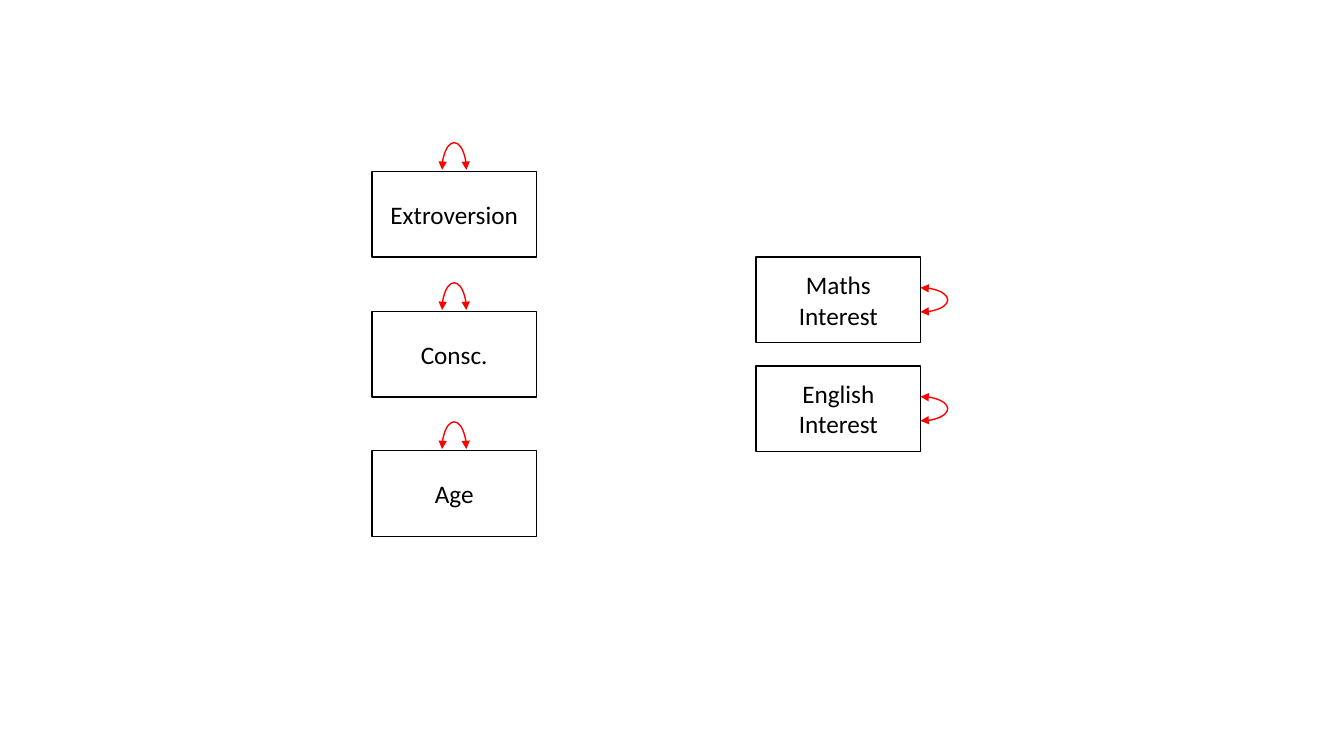
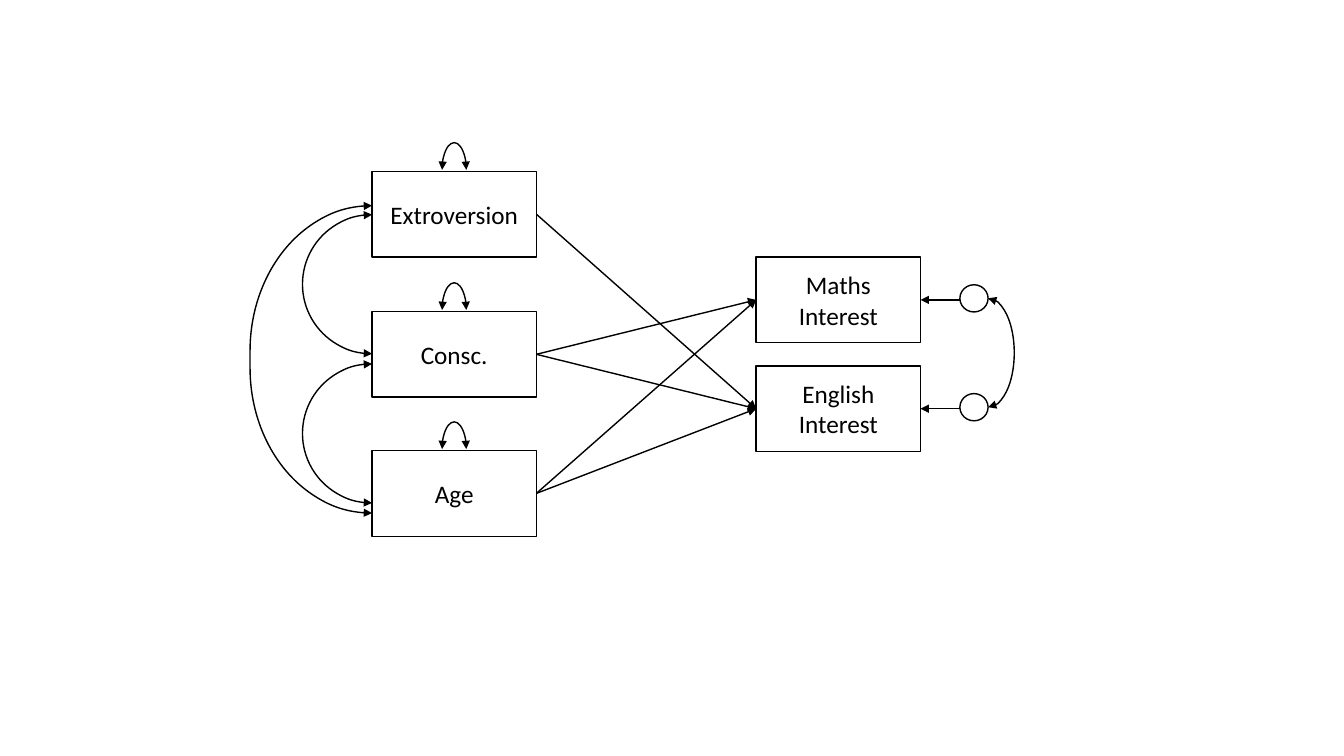
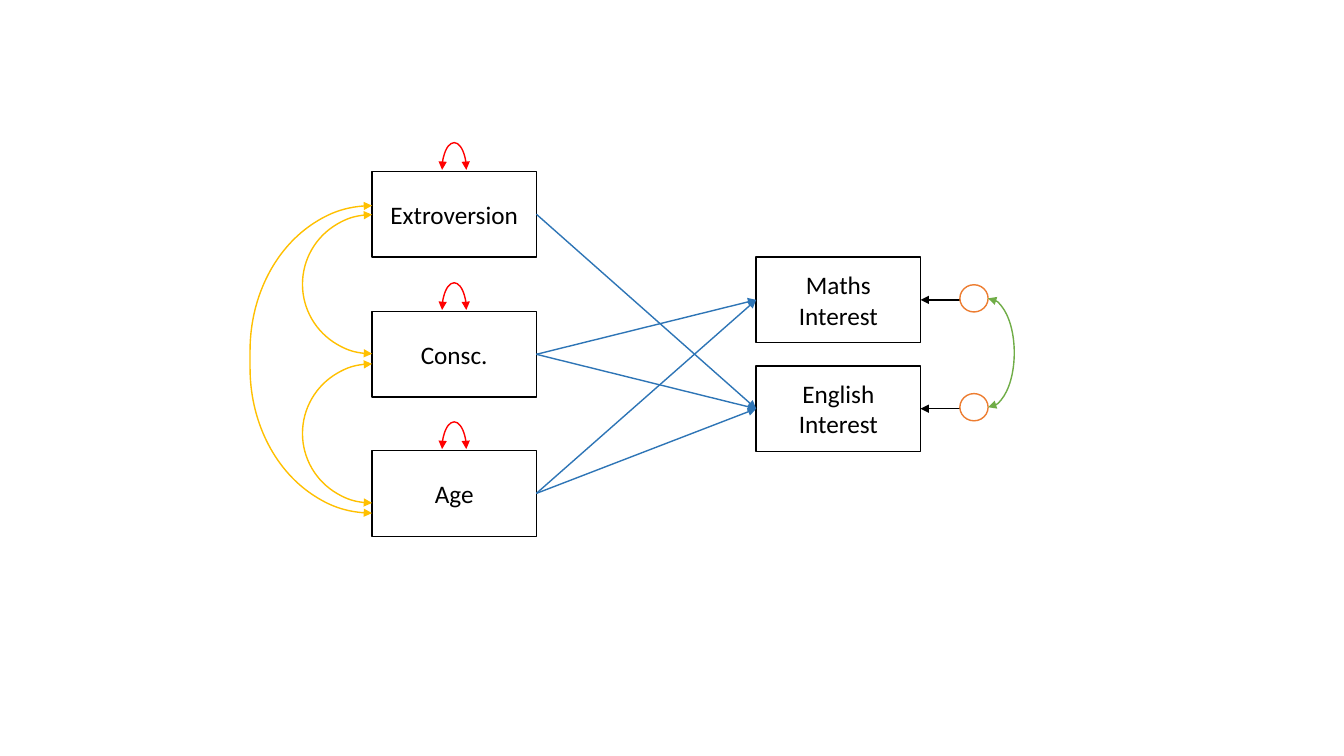
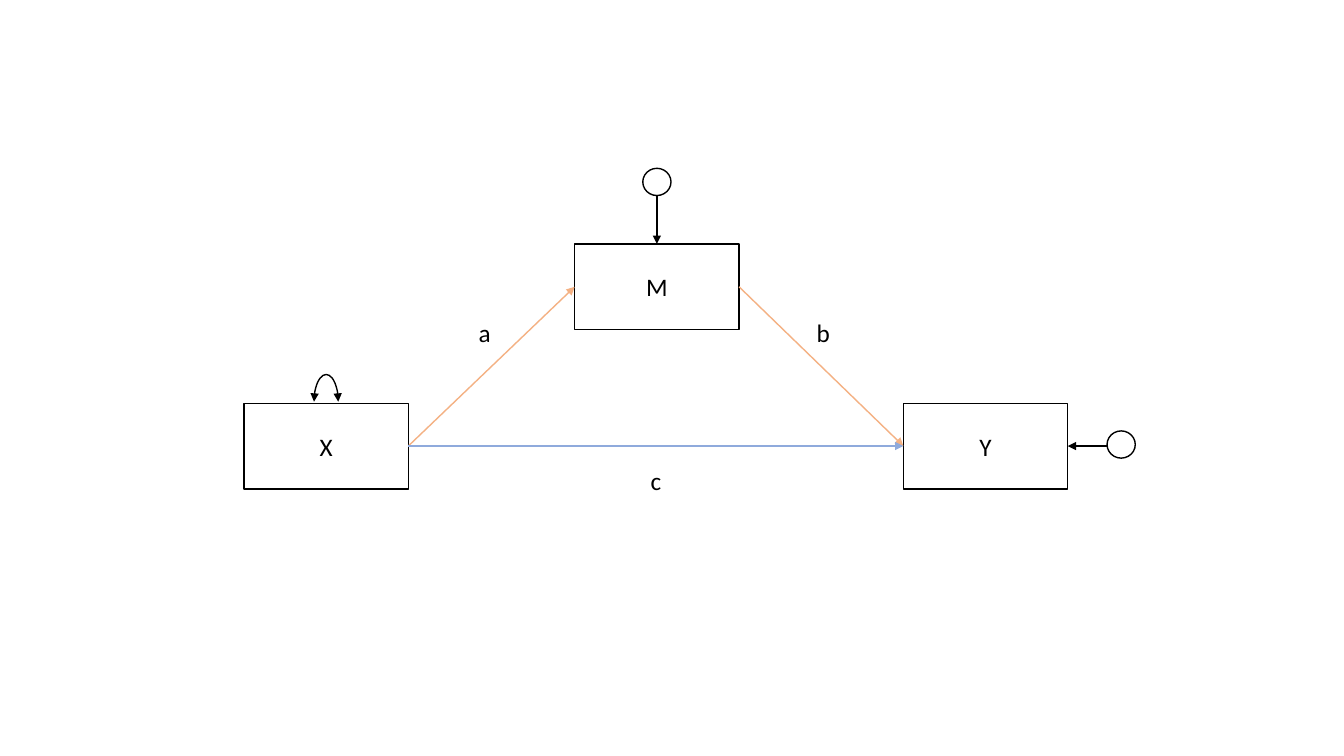
import lxml.etree
import pptx
import pptx.dml.color
import pptx.enum.shapes
import pptx.enum.text
import pptx.oxml.ns
import pptx.util

Inches = pptx.util.Inches
RGBColor = pptx.dml.color.RGBColor
SHAPES = pptx.enum.shapes.MSO_SHAPE
ALIGN = pptx.enum.text.PP_ALIGN
qn = pptx.oxml.ns.qn

BLACK = RGBColor(0x00, 0x00, 0x00)
RED = RGBColor(0xFF, 0x00, 0x00)
BLUE = RGBColor(0x2E, 0x75, 0xB6)
GOLD = RGBColor(0xFF, 0xC0, 0x00)
ORANGE = RGBColor(0xED, 0x7D, 0x31)
GREEN = RGBColor(0x70, 0xAD, 0x47)
PALE_ORANGE = RGBColor(0xF4, 0xB1, 0x83)
PALE_BLUE = RGBColor(0x8F, 0xAA, 0xDC)

FONT = "Calibri"
FONT_SIZE = pptx.util.Pt(18)
LINE_WIDTH = pptx.util.Pt(1)
BOX_WIDTH, BOX_HEIGHT = Inches(1.63), Inches(0.85)
CIRCLE_WIDTH, CIRCLE_HEIGHT = Inches(0.28), Inches(0.27)
LOOP_WIDTH, LOOP_HEIGHT = Inches(0.27), Inches(0.24)
LOOP_BEND = 2.08
TOP, LEFT, RIGHT = 0, 1, 3

PREDICTORS = [("Extroversion", 1.7), ("Consc.", 3.09), ("Age", 4.47)]
OUTCOMES = [("Maths Interest", 2.55), ("English Interest", 3.63)]
PREDICTOR_LEFT, OUTCOME_LEFT = 3.69, 7.5
PATHS = [(1, 0), (2, 0), (0, 1), (1, 1), (2, 1)]
COVARIANCES = [(0.43, 0.69, 1.38, 1.0), (1.91, 0.69, 1.38, 1.0), (0.34, 1.21, 3.05, 1.19)]


def style_line(shape, color, ends=()):
    shape.line.color.rgb = color
    shape.line.width = LINE_WIDTH
    outline = shape._element.spPr.find(qn("a:ln"))
    for end in ends:
        lxml.etree.SubElement(outline, qn(f"a:{end}"), type="triangle")


def add_outline(slide, kind, left, top, width, height, color, ends=()):
    shape = slide.shapes.add_shape(kind, left, top, width, height)
    shape.shadow.inherit = False
    shape.fill.background()
    style_line(shape, color, ends)
    return shape


def write_text(shape, text, alignment):
    shape.text_frame.word_wrap = True
    paragraph = shape.text_frame.paragraphs[0]
    paragraph.alignment = alignment
    run = paragraph.add_run()
    run.text = text
    run.font.name = FONT
    run.font.size = FONT_SIZE
    run.font.color.rgb = BLACK


def add_box(slide, text, left, top):
    box = add_outline(slide, SHAPES.RECTANGLE, Inches(left), Inches(top),
                      BOX_WIDTH, BOX_HEIGHT, BLACK)
    box.text_frame.vertical_anchor = pptx.enum.text.MSO_ANCHOR.MIDDLE
    write_text(box, text, ALIGN.CENTER)
    return box


def add_label(slide, text, left, top, width, alignment=ALIGN.LEFT):
    label = slide.shapes.add_textbox(Inches(left), Inches(top), Inches(width), Inches(0.4))
    label.text_frame.auto_size = pptx.enum.text.MSO_AUTO_SIZE.SHAPE_TO_FIT_TEXT
    write_text(label, text, alignment)


def add_bracket(slide, kind, left, top, width, height, bend, color):
    bracket = add_outline(slide, kind, left, top, width, height, color, ("headEnd", "tailEnd"))
    bracket.adjustments[0] = bend
    return bracket


def add_arrow(slide, start, target, side, color):
    arrow = slide.shapes.add_connector(pptx.enum.shapes.MSO_CONNECTOR.STRAIGHT, *start, *start)
    arrow.end_connect(target, side)
    style_line(arrow, color, ("tailEnd",))
    lxml.etree.SubElement(arrow._element.spPr, qn("a:effectLst"))
    return arrow


def add_path(slide, source, target, color):
    start = (source.left + source.width, source.top + source.height // 2)
    add_arrow(slide, start, target, LEFT, color).begin_connect(source, RIGHT)


def add_top_loop(slide, box, color):
    left = box.left + (box.width - LOOP_WIDTH) // 2
    loop = add_bracket(slide, SHAPES.RIGHT_BRACKET, left, box.top - LOOP_WIDTH,
                       LOOP_WIDTH, LOOP_HEIGHT, LOOP_BEND, color)
    loop.rotation = 270


def add_side_loop(slide, box, color):
    top = box.top + (box.height - LOOP_HEIGHT) // 2
    add_bracket(slide, SHAPES.RIGHT_BRACKET, box.left + box.width, top,
                LOOP_WIDTH, LOOP_HEIGHT, LOOP_BEND, color)


def add_side_error(slide, box, color):
    left = box.left + box.width + Inches(0.39)
    middle = box.top + box.height // 2
    add_arrow(slide, (left, middle), box, RIGHT, BLACK)
    return add_outline(slide, SHAPES.OVAL, left, middle - Inches(0.15),
                       CIRCLE_WIDTH, CIRCLE_HEIGHT, color)


def add_top_error(slide, box, color):
    center = box.left + box.width // 2
    bottom = box.top - Inches(0.48)
    add_arrow(slide, (center, bottom), box, TOP, BLACK)
    add_outline(slide, SHAPES.OVAL, center - CIRCLE_WIDTH // 2, bottom - CIRCLE_HEIGHT,
                CIRCLE_WIDTH, CIRCLE_HEIGHT, color)


def add_variables(slide, loop_color):
    predictors = [add_box(slide, text, PREDICTOR_LEFT, top) for text, top in PREDICTORS]
    outcomes = [add_box(slide, text, OUTCOME_LEFT, top) for text, top in OUTCOMES]
    for box in predictors:
        add_top_loop(slide, box, loop_color)
    return predictors, outcomes


def add_covariances(slide, first_box, color):
    for offset, width, height, bend in COVARIANCES:
        add_bracket(slide, SHAPES.LEFT_BRACKET, first_box.left - Inches(width),
                    first_box.top + Inches(offset), Inches(width), Inches(height), bend, color)


def add_error_covariance(slide, first, last, color):
    add_bracket(slide, SHAPES.RIGHT_BRACKET, first.left + first.width,
                first.top + CIRCLE_HEIGHT // 2, Inches(0.26), last.top - first.top,
                LOOP_BEND, color)


def build_variance_slide(slide):
    outcomes = add_variables(slide, RED)[1]
    for box in outcomes:
        add_side_loop(slide, box, RED)


def build_path_slide(slide, loop=BLACK, path=BLACK, covariance=BLACK,
                     error=BLACK, error_covariance=BLACK):
    predictors, outcomes = add_variables(slide, loop)
    for source, target in PATHS:
        add_path(slide, predictors[source], outcomes[target], path)
    add_covariances(slide, predictors[0], covariance)
    circles = [add_side_error(slide, box, error) for box in outcomes]
    add_error_covariance(slide, circles[0], circles[1], error_covariance)


def build_mediation_slide(slide):
    cause = add_box(slide, "X", 2.42, 4)
    mediator = add_box(slide, "M", 5.7, 2.42)
    effect = add_box(slide, "Y", 8.96, 4)
    add_top_error(slide, mediator, BLACK)
    add_side_error(slide, effect, BLACK)
    add_top_loop(slide, cause, BLACK)
    add_path(slide, cause, mediator, PALE_ORANGE)
    add_path(slide, mediator, effect, PALE_ORANGE)
    add_path(slide, cause, effect, PALE_BLUE)
    add_label(slide, "a", 4.65, 3.1, 0.47)
    add_label(slide, "b", 8, 3.1, 1.11)
    add_label(slide, "c", 5.95, 4.57, 1.11, ALIGN.CENTER)


def main():
    presentation = pptx.Presentation()
    presentation.slide_width = Inches(13.33)
    presentation.slide_height = Inches(7.5)
    blank = presentation.slide_layouts[6]
    build_variance_slide(presentation.slides.add_slide(blank))
    build_path_slide(presentation.slides.add_slide(blank))
    build_path_slide(presentation.slides.add_slide(blank), loop=RED, path=BLUE,
                     covariance=GOLD, error=ORANGE, error_covariance=GREEN)
    build_mediation_slide(presentation.slides.add_slide(blank))
    presentation.save("out.pptx")


if __name__ == "__main__":
    main()
